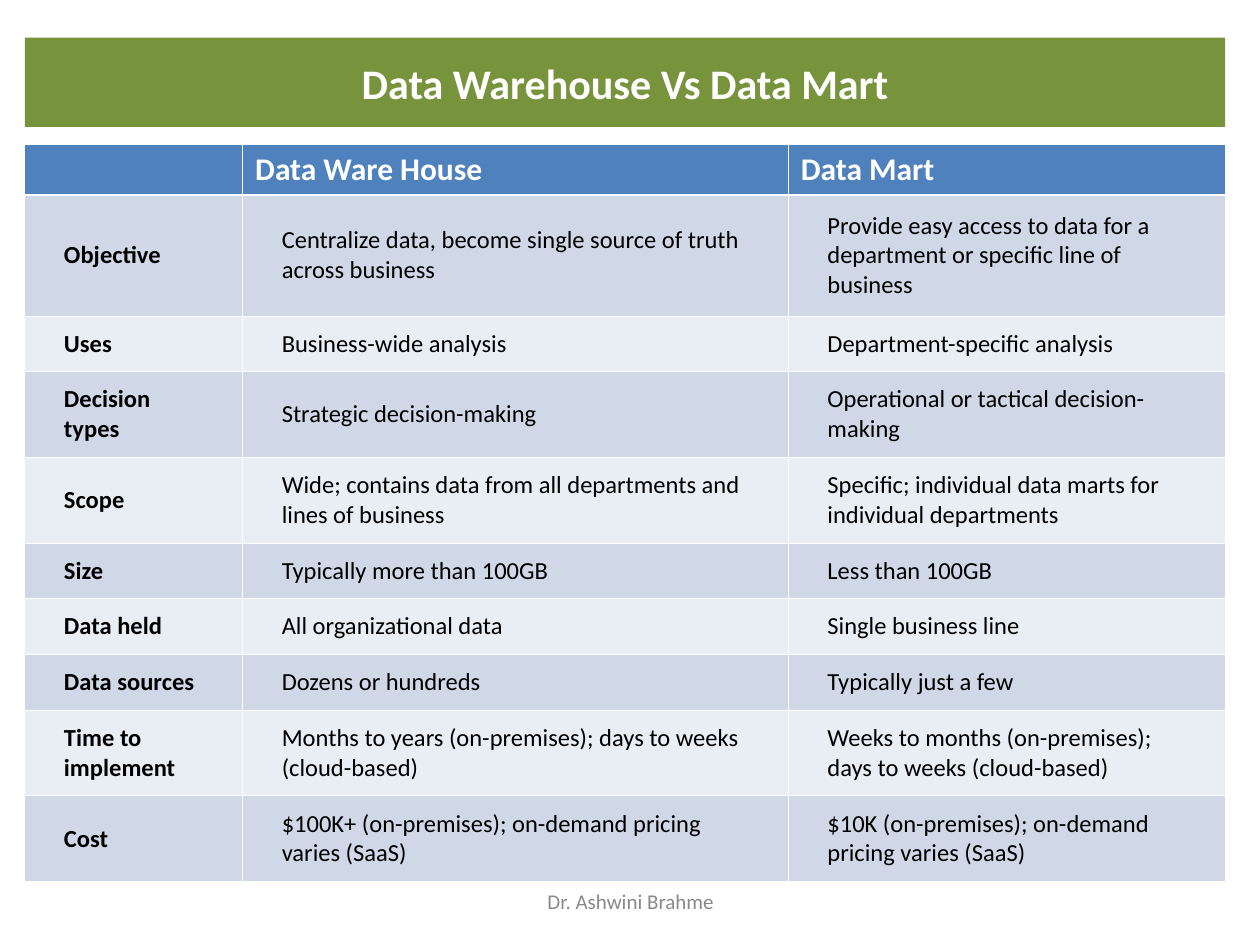
from dataclasses import dataclass

import pptx
import pptx.dml.color
import pptx.enum.shapes
import pptx.enum.text
import pptx.oxml
import pptx.oxml.ns
import pptx.util
from pptx.util import Cm

COLORS = {
    "banner": "77933C",
    "header": "4F81BD",
    "band_dark": "D0D8E8",
    "band_light": "E9EDF4",
    "white": "FFFFFF",
    "black": "000000",
    "footer": "898989",
}
FONT = "Calibri"
THIN, THICK = 0.45, 1.47
COLUMN_WIDTHS = (4.39, 11, 8.81)
HEADER_HEIGHT = 1.02
HEIGHT_BY_LINES = {1: 1.12, 2: 1.73, 3: 2.44}
LEFT, WIDTH = 0.5, 24.2


@dataclass(frozen=True)
class Comparison:
    aspect: str
    warehouse: str
    mart: str
    lines: int = 1


@dataclass(frozen=True)
class TextStyle:
    size: float
    color: str
    bold: bool = False


HEADINGS = ("", "Data Ware House", "Data Mart")
COMPARISONS = (
    Comparison("Objective", "Centralize data, become single source of truth across business",
               "Provide easy access to data for a department or specific line of business", 3),
    Comparison("Uses", "Business-wide analysis", "Department-specific analysis"),
    Comparison("Decision types", "Strategic decision-making",
               "Operational or tactical decision-making", 2),
    Comparison("Scope", "Wide; contains data from all departments and lines of business",
               "Specific; individual data marts for individual departments", 2),
    Comparison("Size", "Typically more than 100GB", "Less than 100GB"),
    Comparison("Data held", "All organizational data", "Single business line"),
    Comparison("Data sources", "Dozens or hundreds", "Typically just a few"),
    Comparison("Time to implement", "Months to years (on-premises); days to weeks (cloud-based)",
               "Weeks to months (on-premises); days to weeks (cloud-based)", 2),
    Comparison("Cost", "$100K+ (on-premises); on-demand pricing varies (SaaS)",
               "$10K (on-premises); on-demand pricing varies (SaaS)", 2),
)


def rgb(name: str) -> pptx.dml.color.RGBColor:
    return pptx.dml.color.RGBColor.from_string(COLORS[name])


def write(paragraph, text: str, style: TextStyle) -> None:
    run = paragraph.add_run()
    run.text = text
    run.font.name = FONT
    run.font.size = pptx.util.Pt(style.size)
    run.font.bold = style.bold
    run.font.color.rgb = rgb(style.color)


def write_centered(frame, text: str, style: TextStyle) -> None:
    frame.word_wrap = True
    frame.vertical_anchor = pptx.enum.text.MSO_ANCHOR.MIDDLE
    paragraph = frame.paragraphs[0]
    paragraph.alignment = pptx.enum.text.PP_ALIGN.CENTER
    write(paragraph, text, style)


def add_borders(cell, top: float, bottom: float) -> None:
    properties = cell._tc.get_or_add_tcPr()
    for side, points in (("L", THIN), ("R", THIN), ("T", top), ("B", bottom)):
        properties.append(pptx.oxml.parse_xml(
            f'<a:ln{side} {pptx.oxml.ns.nsdecls("a")} w="{pptx.util.Pt(points)}">'
            f'<a:solidFill><a:srgbClr val="{COLORS["white"]}"/></a:solidFill></a:ln{side}>'))


def fill_cell(cell, text: str, style: TextStyle, fill: str, top: float, bottom: float) -> None:
    add_borders(cell, top, bottom)
    cell.fill.solid()
    cell.fill.fore_color.rgb = rgb(fill)
    if text:
        write(cell.text_frame.paragraphs[0], text, style)


def add_banner(slide) -> None:
    banner = slide.shapes.add_shape(pptx.enum.shapes.MSO_SHAPE.RECTANGLE,
                                    Cm(LEFT), Cm(0.76), Cm(WIDTH), Cm(1.8))
    banner.shadow.inherit = False
    banner.fill.solid()
    banner.fill.fore_color.rgb = rgb("banner")
    banner.line.fill.background()
    write_centered(banner.text_frame, "Data Warehouse Vs Data Mart", TextStyle(24, "white", True))


def add_comparison_table(slide) -> None:
    heights = [HEADER_HEIGHT] + [HEIGHT_BY_LINES[item.lines] for item in COMPARISONS]
    table = slide.shapes.add_table(len(heights), len(COLUMN_WIDTHS), Cm(LEFT), Cm(2.9),
                                   Cm(WIDTH), Cm(sum(heights))).table
    for column, width in zip(table.columns, COLUMN_WIDTHS):
        column.width = Cm(width)
    for row, height in zip(table.rows, heights):
        row.height = Cm(height)

    for column, heading in enumerate(HEADINGS):
        fill_cell(table.cell(0, column), heading, TextStyle(18, "white", True),
                  "header", THIN, THICK)

    for row, item in enumerate(COMPARISONS, start=1):
        band = "band_dark" if row % 2 else "band_light"
        for column, text in enumerate((item.aspect, item.warehouse, item.mart)):
            cell = table.cell(row, column)
            cell.vertical_anchor = pptx.enum.text.MSO_ANCHOR.MIDDLE
            cell.margin_left = cell.margin_right = Cm(0.79)
            fill_cell(cell, text, TextStyle(14, "black", column == 0), band,
                      THICK if row == 1 else THIN, THIN)


def add_footer(slide) -> None:
    footer = slide.shapes.add_textbox(Cm(8.69), Cm(17.65), Cm(8.05), Cm(1.02))
    write_centered(footer.text_frame, "Dr. Ashwini Brahme", TextStyle(12, "footer"))


def main() -> None:
    presentation = pptx.Presentation()
    presentation.slide_width = Cm(25.4)
    presentation.slide_height = Cm(19.05)
    slide = presentation.slides.add_slide(presentation.slide_layouts[6])
    add_banner(slide)
    add_comparison_table(slide)
    add_footer(slide)
    presentation.save("out.pptx")


if __name__ == "__main__":
    main()
